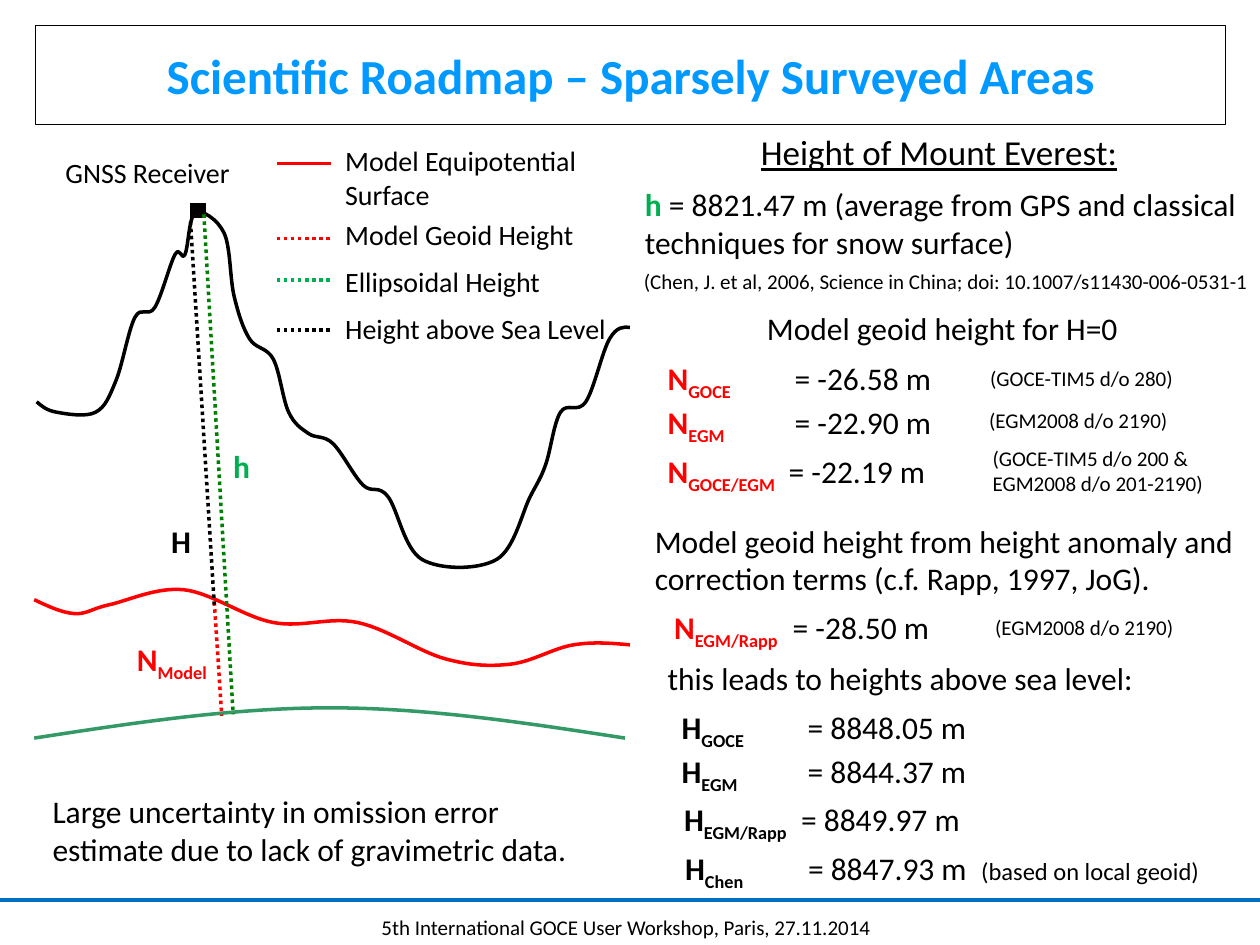
from lxml import etree
from pptx import Presentation
from pptx.dml.color import RGBColor
from pptx.enum.dml import MSO_LINE
from pptx.enum.shapes import MSO_CONNECTOR, MSO_SHAPE
from pptx.enum.text import MSO_ANCHOR, MSO_AUTO_SIZE, PP_ALIGN
from pptx.oxml.ns import qn
from pptx.util import Cm, Pt

STRAIGHT = MSO_CONNECTOR.STRAIGHT
DOT, SOLID = MSO_LINE.ROUND_DOT, MSO_LINE.SOLID
RECT = MSO_SHAPE.RECTANGLE
CENTER, MIDDLE = PP_ALIGN.CENTER, MSO_ANCHOR.MIDDLE
GROW, FIXED = MSO_AUTO_SIZE.SHAPE_TO_FIT_TEXT, MSO_AUTO_SIZE.NONE
FONT = "Calibri"
COLORS = {name: RGBColor.from_string(value) for name, value in {
    "black": "000000", "white": "FFFFFF", "red": "FF0000", "green": "00B050",
    "dark green": "008000", "sea green": "339966", "blue": "0070C0", "title": "0099FF",
}.items()}

prs = Presentation()
prs.slide_width, prs.slide_height = Cm(25.4), Cm(19.05)
s = prs.slides.add_slide(prs.slide_layouts[5])


def add_text(x, y, w, h, size, runs, wrap=False, tabs=()):
    tb = s.shapes.add_textbox(Cm(x), Cm(y), Cm(w), Cm(h))
    tf = tb.text_frame
    tf.word_wrap = wrap
    tf.auto_size = GROW
    p = tf.paragraphs[0]
    if tabs:
        tab_list = etree.SubElement(p._p.get_or_add_pPr(), qn("a:tabLst"))
        for pos in tabs:
            etree.SubElement(tab_list, qn("a:tab"), pos=str(Cm(pos)), algn="l")
    p.font.name, p.font.size = FONT, Pt(size)
    for text, color, bold, subscript in runs:
        r = p.add_run()
        r.text = text
        r.font.bold = bold
        r.font.color.rgb = COLORS[color]
        if subscript:
            r.font._element.set("baseline", "-25000")
    return p


def add_line(x1, y1, x2, y2, color, dash=SOLID, width=2):
    line = s.shapes.add_connector(STRAIGHT, Cm(x1), Cm(y1), Cm(x2), Cm(y2))
    line.line.color.rgb = COLORS[color]
    line.line.width = Pt(width)
    line.line.dash_style = dash
    etree.SubElement(line._element.spPr, qn("a:effectLst"))


title = s.shapes.title
title.left, title.top, title.width, title.height = Cm(0.71), Cm(0.51), Cm(24), Cm(2)
title.fill.solid()
title.fill.fore_color.rgb = COLORS["white"]
title.line.color.rgb = COLORS["black"]
title.line.width = Pt(0.75)
tf = title.text_frame
tf.text = "Scientific Roadmap – Sparsely Surveyed Areas"
tf.vertical_anchor = MIDDLE
tf.auto_size = FIXED
p = tf.paragraphs[0]
p.alignment = CENTER
p.font.name, p.font.size, p.font.bold = FONT, Pt(28), True
p.font.color.rgb = COLORS["title"]

add_line(0, 18.14, 25.4, 18.14, "blue", width=2.25)

curves = [
    ("red", [(0.69, 12.09), (1.5, 12.37), (2.21, 12.19), (3.71, 11.89), (5.51, 12.55),
             (7.21, 12.55), (8.97, 13.28), (10.29, 13.39), (11.56, 13), (12.7, 13)]),
    ("sea green", [(0.69, 14.88), (6.65, 14.27), (12.6, 14.88)]),
    ("black", [(0.74, 8.1), (1.14, 8.31), (1.93, 8.31), (2.34, 7.67), (2.72, 6.4),
               (3.12, 6.2), (3.53, 5.13), (3.73, 5.13), (3.94, 4.29), (4.52, 4.7),
               (4.72, 5.97), (5.03, 6.83), (5.51, 7.24), (5.82, 8.31), (6.22, 8.74),
               (6.71, 8.94), (7.32, 9.78), (7.82, 10.01), (8.51, 11.28), (10.01, 11.28),
               (10.69, 10.01), (11, 9.37), (11.3, 8.31), (11.81, 8.1), (12.29, 6.83),
               (12.7, 6.6)]),
]
for color, points in curves:
    points = [(Cm(x), Cm(y)) for x, y in points]
    builder = s.shapes.build_freeform(*points[0])
    builder.add_line_segments(points[1:], close=False)
    sp = builder.convert_to_shape()
    sp.shadow.inherit = False
    sp.fill.background()
    sp.line.color.rgb = COLORS[color]
    sp.line.width = Pt(2)
    left, top = min(x for x, y in points), min(y for x, y in points)
    local = [(x - left, y - top) for x, y in points]
    last = len(local) - 1
    slopes = [[(b - a) / 6 for a, b in zip(local[max(i - 1, 0)], local[min(i + 1, last)])]
              for i in range(last + 1)]
    for i, segment in enumerate(list(sp._element.iter(qn("a:lnTo")))):
        start, end = local[i], local[i + 1]
        c1 = [a + d for a, d in zip(start, slopes[i])]
        c2 = [b - d for b, d in zip(end, slopes[i + 1])]
        if i == 0:
            c1 = [(a + c) / 2 for a, c in zip(start, c2)]
        if i == last - 1:
            c2 = [(b + c) / 2 for b, c in zip(end, c1)]
        bezier = etree.Element(qn("a:cubicBezTo"))
        for x, y in (c1, c2, end):
            etree.SubElement(bezier, qn("a:pt"), x=str(round(x)), y=str(round(y)))
        segment.getparent().replace(segment, bezier)

receiver = s.shapes.add_shape(RECT, Cm(3.84), Cm(4.11), Cm(0.3), Cm(0.28))
receiver.shadow.inherit = False
receiver.fill.solid()
receiver.fill.fore_color.rgb = COLORS["black"]
receiver.line.color.rgb = COLORS["black"]
receiver.line.width = Pt(0.75)

add_line(4.32, 12.14, 4.47, 14.43, "red", DOT)
add_line(4.11, 4.32, 4.7, 14.4, "dark green", DOT)
add_line(3.84, 4.47, 4.32, 12.19, "black", DOT)

legend = [
    ("Model Equipotential Surface", 3.3, 2.77, 6.73, "red", SOLID),
    ("Model Geoid Height", 4.81, 4.27, 5.18, "red", DOT),
    ("Ellipsoidal Height", 5.64, 5.21, 4.47, "green", DOT),
    ("Height above Sea Level", 6.65, 6.15, 5.84, "black", DOT),
]
for label, line_y, y, w, color, dash in legend:
    add_line(5.58, line_y, 6.68, line_y, color, dash)
    add_text(6.71, y, w, 0.94, 16, [(label, "black", False, False)], wrap=dash == SOLID)

plain_texts = [
    ("5th International GOCE User Workshop, Paris, 27.11.2014", 7.44, 18.31, 10.49, 0.76, 12),
    ("GNSS Receiver", 1.07, 3.02, 3.89, 0.94, 16),
    ("(Chen, J. et al, 2006, Science in China; doi: 10.1007/s11430-006-0531-1",
     12.73, 5.28, 12.98, 0.76, 12),
    ("Model geoid height for H=0", 15.21, 6.1, 7.67, 1.02, 18),
    ("(GOCE-TIM5 d/o 280)", 19.71, 7.24, 4.24, 0.76, 12),
    ("(EGM2008 d/o 2190)", 19.69, 8.1, 4.14, 0.76, 12),
    ("(GOCE-TIM5 d/o 200 & EGM2008 d/o 201-2190)", 19.76, 8.86, 4.83, 1.27, 12),
    ("Model geoid height from height anomaly and correction terms (c.f. Rapp, 1997, JoG).",
     12.95, 10.39, 12.45, 1.8, 18),
    ("(EGM2008 d/o 2190)", 19.81, 12.27, 4.14, 0.76, 12),
    ("this leads to heights above sea level:", 13.21, 13.16, 10.01, 1.02, 18),
    ("Large uncertainty in omission error estimate due to lack of gravimetric data.",
     0.81, 15.85, 11.38, 1.8, 18),
]
for text, x, y, w, h, size in plain_texts:
    add_text(x, y, w, h, size, [(text, "black", False, False)], wrap=h > 1.1)

heading = add_text(15.09, 2.51, 7.77, 1.12, 20,
                   [("Height of Mount Everest:", "black", False, False)])
heading.font.underline = True
heading.runs[0].font.underline = True

add_text(12.75, 3.61, 12.7, 1.8, 18, [
    ("h", "green", True, False),
    (" = 8821.47 m (average from GPS and classical techniques for snow surface)",
     "black", False, False)], wrap=True)
add_text(4.45, 8.89, 0.86, 1.02, 18, [("h", "green", True, False)])
add_text(3.2, 10.39, 0.91, 1.02, 18, [("H", "black", True, False)])
add_text(2.51, 12.78, 2.08, 1.02, 18,
         [("N", "red", True, False), ("Model", "red", True, True)])

heights = [
    ("N", "GOCE", "-26.58", 13.21, 7.11, 2.56, "red"),
    ("N", "EGM", "-22.90", 13.21, 8, 2.56, "red"),
    ("N", "GOCE/EGM", "-22.19", 13.21, 8.99, 2.44, "red"),
    ("N", "EGM/Rapp", "-28.50", 13.34, 12.14, 2.39, "red"),
    ("H", "GOCE", "8848.05", 13.49, 14.15, 2.54, "black"),
    ("H", "EGM", "8844.37", 13.49, 15.04, 2.54, "black"),
    ("H", "EGM/Rapp", "8849.97", 13.54, 16, 2.36, "black"),
    ("H", "Chen", "8847.93", 13.56, 16.99, 2.48, "black"),
]
for symbol, index, value, x, y, tab, color in heights:
    p = add_text(x, y, 11.25, 1.02, 18, [
        (symbol, color, True, False), (index, color, True, True),
        (f"\t= {value} m", "black", False, False)], wrap=True, tabs=(tab, 5.97))

r = p.add_run()
r.text = "\t(based on local geoid)"
r.font.size = Pt(14)
r.font.color.rgb = COLORS["black"]

prs.save("out.pptx")
